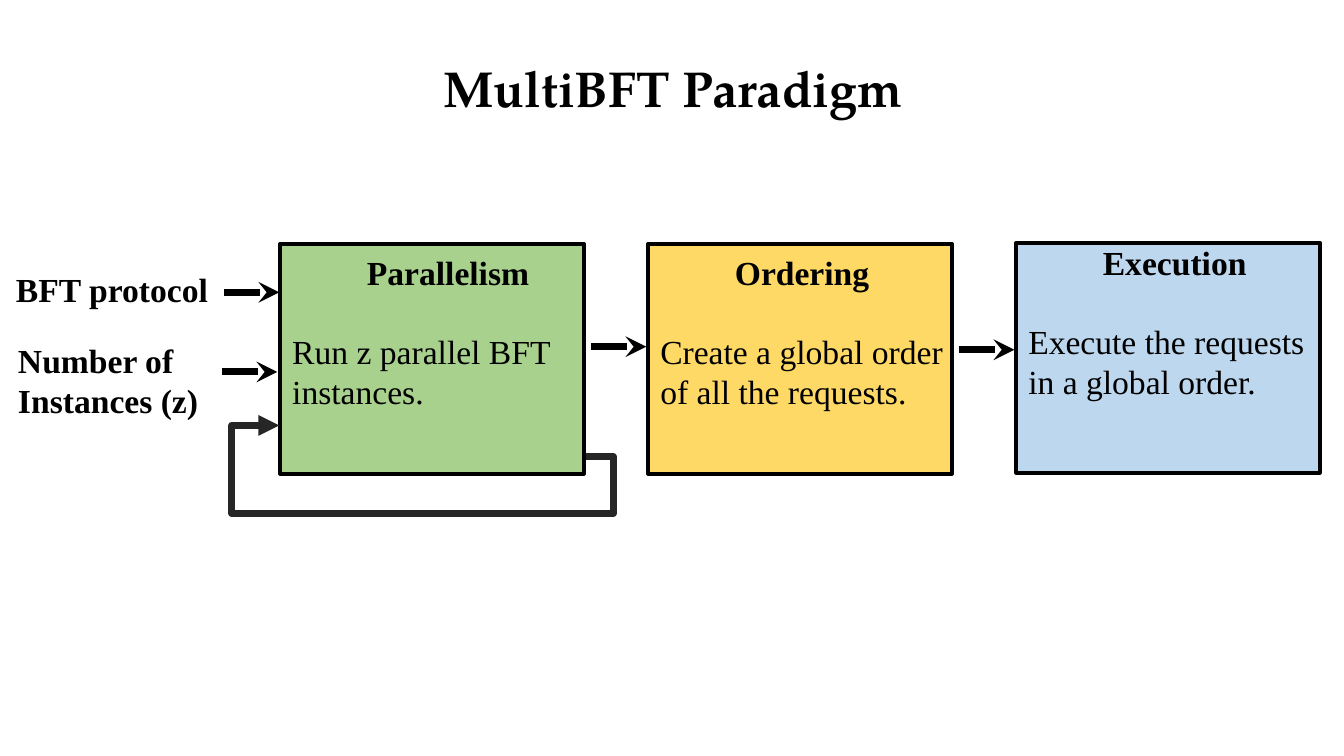
from dataclasses import dataclass

from lxml.etree import SubElement
from pptx import Presentation
from pptx.dml.color import RGBColor
from pptx.enum.shapes import MSO_CONNECTOR as Link, MSO_SHAPE as Shape
from pptx.enum.text import MSO_ANCHOR as Anchor, PP_ALIGN as Align
from pptx.oxml.ns import qn
from pptx.util import Inches, Pt


@dataclass(frozen=True)
class Theme:
    ink: str = "000000"
    loop: str = "262626"
    green: str = "A9D18E"
    yellow: str = "FFD966"
    blue: str = "BDD7EE"
    title_font: str = "TeX Gyre Pagella"
    body_font: str = "Times New Roman"
    title_size: int = 36
    body_size: int = 24
    border: int = 3
    arrow: int = 5


THEME = Theme()
STAGE_WIDTH, STAGE_HEIGHT, STAGE_PITCH = 3.01, 2.28, 3.65
ARROW_LENGTH = 0.55


def add_text(page, text, left, top, width, height, bold=False, wrap=False,
             font=THEME.body_font, size=THEME.body_size, align=Align.LEFT,
             anchor=Anchor.TOP, spacing=1.0):
    box = page.shapes.add_textbox(Inches(left), Inches(top), Inches(width), Inches(height))
    frame = box.text_frame
    frame.word_wrap = wrap
    frame.vertical_anchor = anchor
    for index, line in enumerate(text.split("\n")):
        para = frame.add_paragraph() if index else frame.paragraphs[0]
        para.alignment = align
        para.line_spacing = spacing
        span = para.add_run()
        span.text = line
        span.font.name = font
        span.font.size = Pt(size)
        span.font.bold = bold
        span.font.color.rgb = RGBColor.from_string(THEME.ink)


def style_arrow(connector, color, head):
    connector.line.color.rgb = RGBColor.from_string(color)
    connector.line.width = Pt(THEME.arrow)
    SubElement(connector.line._get_or_add_ln(), qn("a:tailEnd"), type=head)
    SubElement(connector._element.spPr, qn("a:effectLst"))


def add_arrow(page, left, top):
    connector = page.shapes.add_connector(
        Link.STRAIGHT, Inches(left), Inches(top), Inches(left + ARROW_LENGTH), Inches(top))
    style_arrow(connector, THEME.ink, "stealth")


def add_title(page, left, top, width, height):
    add_text(page, "MultiBFT Paradigm", left, top, width, height, bold=True, wrap=True,
             font=THEME.title_font, size=THEME.title_size, align=Align.CENTER,
             anchor=Anchor.MIDDLE, spacing=0.9)


def add_inputs(page, left, top):
    add_text(page, "BFT protocol", left, top, 2.12, 0.5, bold=True)
    add_text(page, "Number of\nInstances (z)", left + 0.02, top + 0.7, 2.01, 0.91, bold=True)
    add_arrow(page, left + 2.16, top + 0.28)
    add_arrow(page, left + 2.14, top + 1.07)


def add_stage(page, left, top, heading, heading_width, body, body_width, body_drop, fill):
    panel = page.shapes.add_shape(
        Shape.RECTANGLE, Inches(left), Inches(top), Inches(STAGE_WIDTH), Inches(STAGE_HEIGHT))
    panel.shadow.inherit = False
    panel.fill.solid()
    panel.fill.fore_color.rgb = RGBColor.from_string(fill)
    panel.line.color.rgb = RGBColor.from_string(THEME.ink)
    panel.line.width = Pt(THEME.border)
    add_text(page, heading, left + 0.76, top + body_drop - 0.78, heading_width, 0.5, bold=True)
    add_text(page, body, left + 0.02, top + body_drop, body_width, 0.91)


def add_feedback_loop(page, left, top, width, height):
    connector = page.shapes.add_connector(
        Link.ELBOW, Inches(left), Inches(top), Inches(left + width), Inches(top + height))
    properties = connector._element.spPr
    properties.find(qn("a:xfrm")).set("rot", "10800000")
    geometry = properties.find(qn("a:prstGeom"))
    geometry.set("prst", "bentConnector5")
    guides = geometry.find(qn("a:avLst"))
    for number, share in enumerate((-9000, -181500, 115500), start=1):
        SubElement(guides, qn("a:gd"), name=f"adj{number}", fmla=f"val {share}")
    style_arrow(connector, THEME.loop, "triangle")


def add_pipeline(page, left, top):
    stages = (
        ("Parallelism", 1.83, "Run z parallel BFT\ninstances.", 2.93, 0.81, THEME.green, 0),
        ("Ordering", 1.55, "Create a global order\nof all the requests.", 3.11, 0.81,
         THEME.yellow, 0),
        ("Execution", 1.64, "Execute the requests\nin a global order.", 3.05, 0.72,
         THEME.blue, -0.01),
    )
    for index, (*details, lift) in enumerate(stages):
        add_stage(page, left + index * STAGE_PITCH, top + lift, *details)
    add_feedback_loop(page, left - 0.01, top + 1.8, 3.04, 0.31)
    add_arrow(page, left + 3.08, top + 1.02)
    add_arrow(page, left + 3.08 + STAGE_PITCH, top + 1.05)


def main():
    deck = Presentation()
    deck.slide_width, deck.slide_height = Inches(13.33), Inches(7.5)
    page = deck.slides.add_slide(deck.slide_layouts[6])
    add_title(page, 0.01, 0.58, 13.33, 0.65)
    add_inputs(page, 0.06, 2.62)
    add_pipeline(page, 2.78, 2.42)
    deck.save("out.pptx")


if __name__ == "__main__":
    main()
